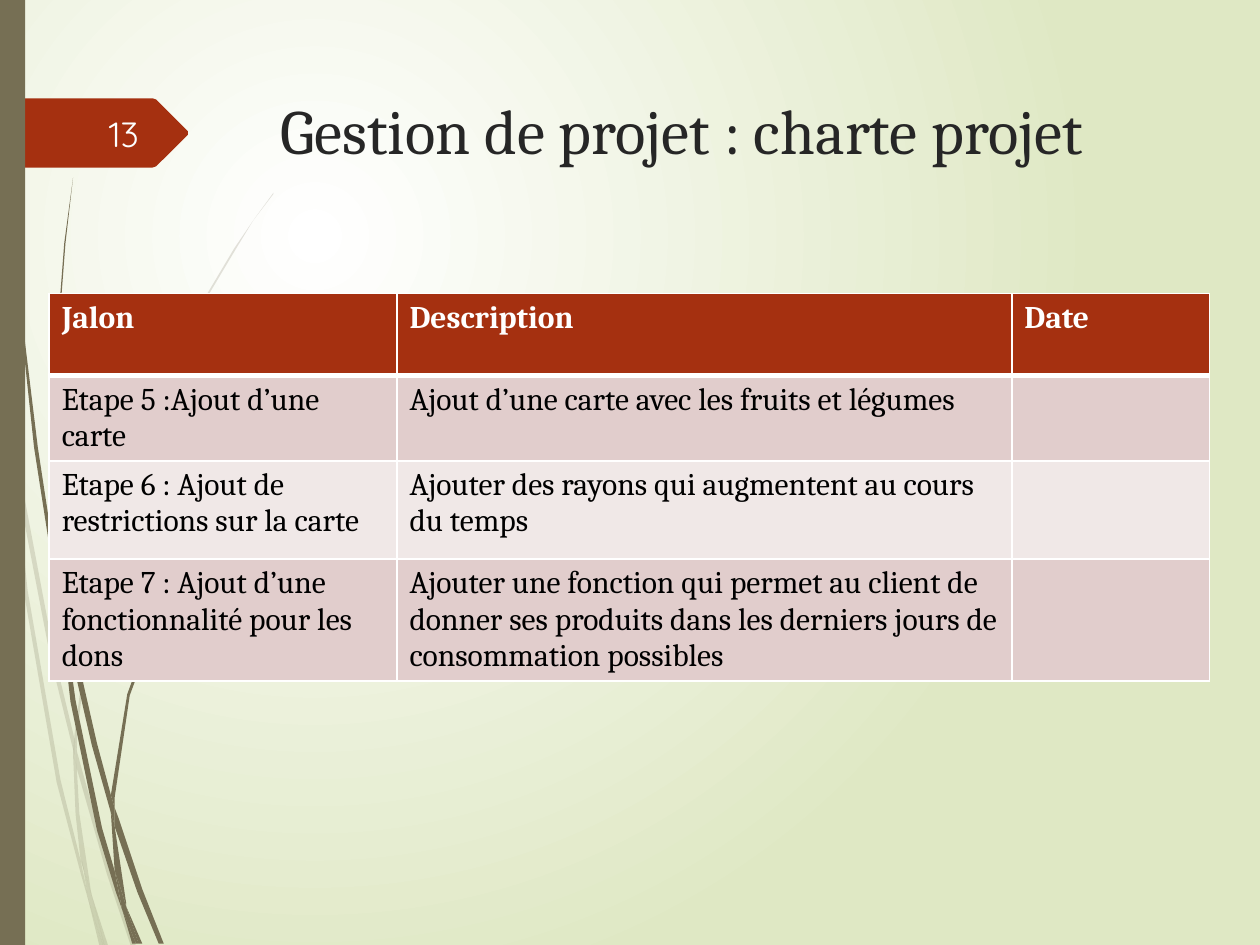
from lxml import etree
from pptx import Presentation
from pptx.dml.color import RGBColor
from pptx.enum.text import MSO_ANCHOR, MSO_AUTO_SIZE, PP_ALIGN
from pptx.enum.shapes import MSO_SHAPE
from pptx.oxml.ns import qn
from pptx.util import Pt

PX = 9144  # EMU in one px, 100 px to the inch
TOP, MIDDLE = MSO_ANCHOR.TOP, MSO_ANCHOR.MIDDLE
LEFT, RIGHT = PP_ALIGN.LEFT, PP_ALIGN.RIGHT
NO_AUTOFIT = MSO_AUTO_SIZE.NONE
RECTANGLE = MSO_SHAPE.RECTANGLE

THEME = {
    "olive": "766F54", "rust": "A53010", "glow": "FFFFFF", "leaf": "DFE8C4",
    "title": "262626", "number": "FEFFFF", "head": "FFFFFF", "body": "000000",
    "border": "FFFFFF", "bands": ("E1CDCC", "F0E8E7"),
    "font": "Cambria", "number_font": "Quicksand",
    "title_size": 36, "table_size": 18, "number_size": 20,
}


def paint(shape, color, opacity=100):
    shape.shadow.inherit = False
    shape.fill.solid()
    shape.fill.fore_color.rgb = RGBColor.from_string(color)
    shape.line.fill.background()
    if opacity < 100:
        rgb = shape._element.spPr.find(qn("a:solidFill"))[0]
        etree.SubElement(rgb, qn("a:alpha"), val=str(opacity * 1000))


def style(paragraph, size, color, font=THEME["font"], bold=False, align=LEFT):
    paragraph.alignment = align
    paragraph.font.name = font
    paragraph.font.size = Pt(size)
    paragraph.font.bold = bold
    paragraph.font.color.rgb = RGBColor.from_string(color)


prs = Presentation()
prs.slide_width, prs.slide_height = 1000 * PX, 750 * PX
slide = prs.slides.add_slide(prs.slide_layouts[5])

# Background: radial glow centred in the upper left quarter
backdrop = slide.background.fill
backdrop.gradient()
for stop, color in zip(backdrop.gradient_stops, (THEME["glow"], THEME["leaf"])):
    stop.color.rgb = RGBColor.from_string(color)
gradient = slide._element.cSld.find(".//" + qn("a:gradFill"))
gradient.remove(gradient.find(qn("a:lin")))
radial = etree.SubElement(gradient, qn("a:path"), path="circle")
etree.SubElement(radial, qn("a:fillToRect"), l="50000", t="50000", r="100000", b="100000")

# Grass blades, as outlines in px
pale_blades = [
    [(8, 350), (6, 322), (0, 282), (0, 299), (7, 344)],
    [(40, 522), (59, 599), (59, 586), (43, 520), (10, 345), (12, 376)],
    [(64, 607), (61, 596), (61, 610), (85, 694), (104, 751), (108, 751), (88, 692)],
    [(83, 751), (86, 751), (73, 711)],
    [(64, 683), (48, 619), (22, 469), (12, 376), (8, 350), (19, 470), (45, 621),
     (64, 693), (70, 714), (69, 707)],
    [(58, 599), (60, 646), (64, 683), (67, 692), (73, 711), (72, 706), (63, 646),
     (61, 610), (61, 608)],
    [(61, 584), (76, 462), (111, 349), (159, 245), (187, 198), (201, 175), (217, 154),
     (217, 153), (201, 175), (186, 197), (158, 244), (110, 348), (75, 461), (59, 584),
     (59, 586), (61, 596)],
    [(70, 714), (79, 751), (82, 751)],
    [(61, 608), (61, 610), (61, 596), (59, 586), (58, 599)],
    [(67, 692), (65, 683), (69, 707), (70, 714), (82, 751), (83, 751), (73, 711)],
]
dark_blades = [
    [(5, 110), (14, 233), (27, 355), (46, 477), (47, 481), (45, 457), (45, 453),
     (30, 355), (15, 232), (6, 109), (4, 48), (3, 0), (2, 0), (3, 48)],
    [(73, 592), (88, 645), (88, 633), (88, 631), (77, 590), (50, 472), (53, 505)],
    [(94, 649), (91, 641), (91, 656), (109, 708), (126, 749), (130, 749), (113, 706)],
    [(91, 691), (81, 657), (60, 556), (53, 505), (47, 477), (56, 557), (77, 659),
     (92, 708), (97, 722), (96, 717)],
    [(50, 472), (48, 453), (44, 349), (48, 245), (52, 193), (58, 141), (51, 193),
     (47, 245), (43, 349), (45, 449), (49, 472)],
    [(110, 749), (113, 749), (100, 719)],
    [(47, 477), (53, 505), (50, 472), (49, 472), (45, 449), (45, 453)],
    [(91, 633), (103, 552), (131, 476), (169, 406), (191, 374), (203, 359), (216, 344),
     (215, 344), (203, 358), (191, 373), (168, 405), (129, 474), (101, 551), (88, 631),
     (91, 641)],
    [(97, 722), (105, 749), (108, 749)],
    [(88, 645), (91, 691), (96, 706), (100, 719), (100, 716), (91, 656), (90, 651)],
    [(88, 645), (90, 651), (91, 656), (91, 641), (88, 631), (88, 633)],
    [(96, 706), (91, 691), (96, 717), (97, 722), (108, 749), (110, 749), (100, 719)],
]
number_arrow = [(149, 107), (124, 132), (121, 133), (0, 133), (0, 78), (121, 78),
                (124, 79), (149, 104)]

outlines = [(blade, THEME["olive"], 20) for blade in pale_blades]
outlines += [(blade, THEME["olive"], 100) for blade in dark_blades]
outlines.append((number_arrow, THEME["rust"], 100))
for points, color, opacity in outlines:
    builder = slide.shapes.build_freeform(*points[0], scale=PX)
    builder.add_line_segments(points[1:], close=True)
    paint(builder.convert_to_shape(), color, opacity)

# Left edge bar
edge_bar = slide.shapes.add_shape(RECTANGLE, 0, 0, 20 * PX, 750 * PX)
paint(edge_bar, THEME["olive"])

# Title
title = slide.shapes.title
title.left, title.top, title.width, title.height = 213 * PX, 68 * PX, 721 * PX, 140 * PX
title.text_frame.text = "Gestion de projet : charte projet"
title.text_frame.vertical_anchor = TOP
title.text_frame.auto_size = NO_AUTOFIT
style(title.text_frame.paragraphs[0], THEME["title_size"], THEME["title"])

# Milestone table
milestones = [
    ("Jalon", "Description", "Date"),
    ("Etape 5 :Ajout d’une carte", "Ajout d’une carte avec les fruits et légumes", ""),
    ("Etape 6 : Ajout de restrictions sur la carte",
     "Ajouter des rayons qui augmentent au cours du temps", ""),
    ("Etape 7 : Ajout d’une fonctionnalité pour les dons",
     "Ajouter une fonction qui permet au client de donner ses produits dans les "
     "derniers jours de consommation possibles", ""),
]
table = slide.shapes.add_table(4, 3, 39 * PX, 233 * PX, 921 * PX, 313 * PX).table
for column, width in zip(table.columns, (276, 488, 157)):
    column.width = width * PX
for row, height in zip(table.rows, (65, 58, 78, 58)):
    row.height = height * PX

for r, texts in enumerate(milestones):
    is_head = r == 0
    for c, text in enumerate(texts):
        cell = table.cell(r, c)
        cell.text = text
        style(cell.text_frame.paragraphs[0], THEME["table_size"],
              THEME["head"] if is_head else THEME["body"], bold=is_head)
        cell.fill.solid()
        cell.fill.fore_color.rgb = RGBColor.from_string(
            THEME["rust"] if is_head else THEME["bands"][(r - 1) % 2])
        # White borders, thicker under the header
        widths = {"lnL": 1, "lnR": 1, "lnT": 3 if r == 1 else 1, "lnB": 3 if is_head else 1}
        for i, (side, width) in enumerate(widths.items()):
            border = etree.Element(qn("a:" + side), w=str(Pt(width)))
            solid = etree.SubElement(border, qn("a:solidFill"))
            etree.SubElement(solid, qn("a:srgbClr"), val=THEME["border"])
            cell._tc.tcPr.insert(i, border)

# Slide number
number = slide.shapes.add_textbox(56 * PX, 86 * PX, 64 * PX, 40 * PX).text_frame
number.word_wrap = True
number.vertical_anchor = MIDDLE
number.text = "13"
style(number.paragraphs[0], THEME["number_size"], THEME["number"],
      font=THEME["number_font"], align=RIGHT)

prs.save("out.pptx")
